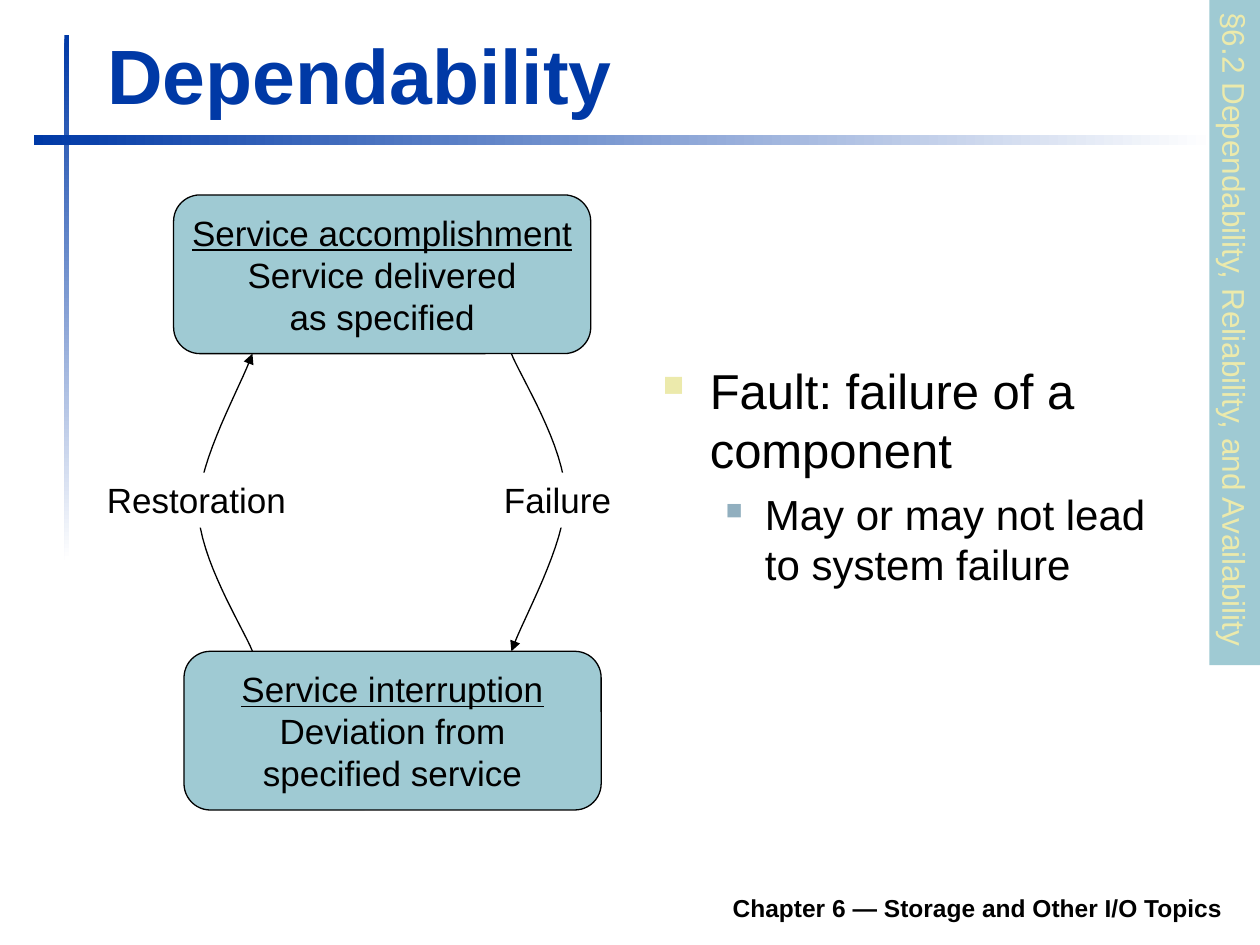
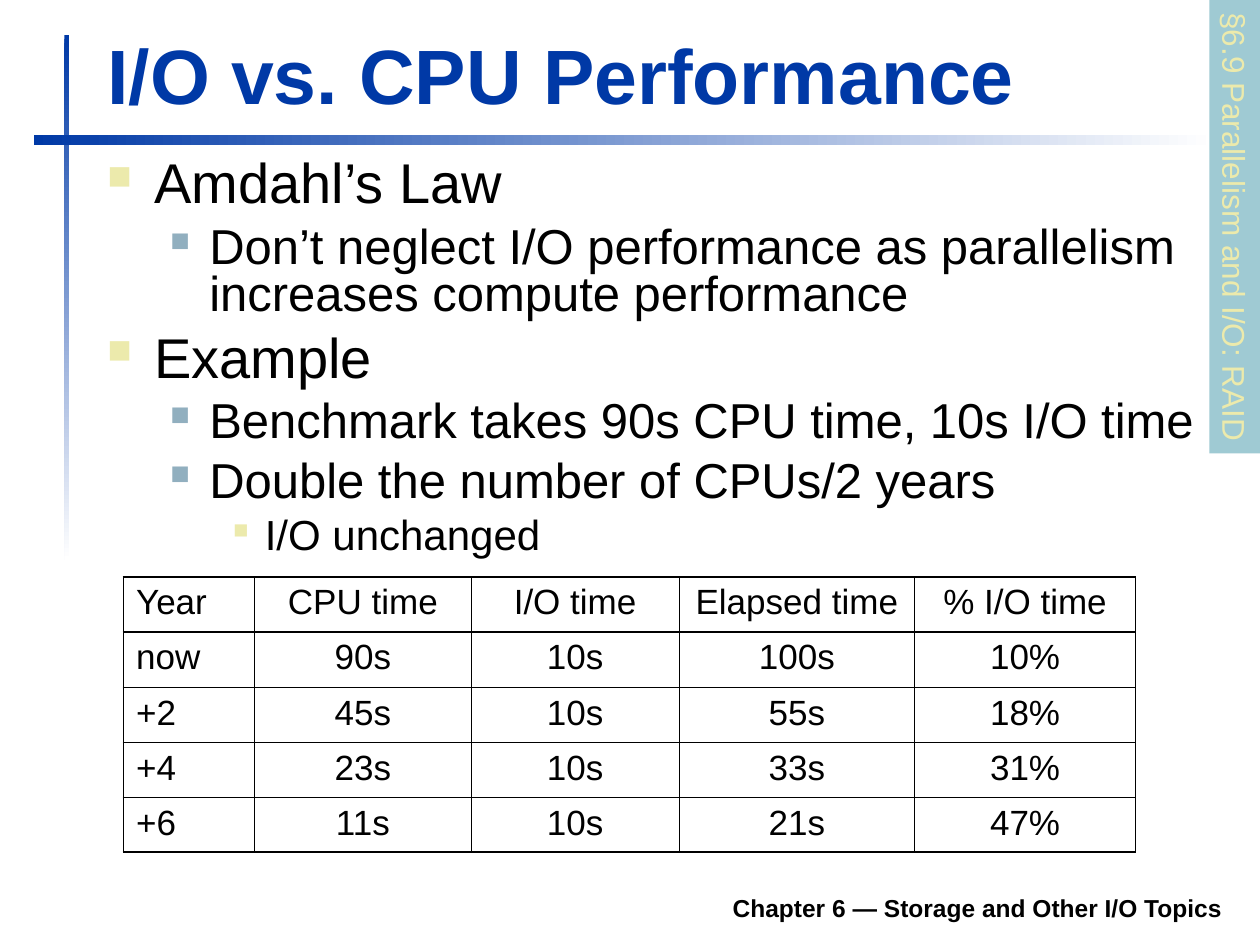
from lxml import etree
from pptx import Presentation
from pptx.dml.color import RGBColor
from pptx.enum.shapes import MSO_SHAPE
from pptx.enum.text import MSO_ANCHOR, MSO_AUTO_SIZE, PP_ALIGN
from pptx.oxml.ns import qn
from pptx.util import Cm, Pt

RECTANGLE = MSO_SHAPE.RECTANGLE
ROUNDED = MSO_SHAPE.ROUNDED_RECTANGLE
LEFT, CENTER, RIGHT = PP_ALIGN.LEFT, PP_ALIGN.CENTER, PP_ALIGN.RIGHT
TOP, MIDDLE, BOTTOM = MSO_ANCHOR.TOP, MSO_ANCHOR.MIDDLE, MSO_ANCHOR.BOTTOM
NO_AUTOFIT = MSO_AUTO_SIZE.NONE

COLORS = {
    "blue": "0039A6",
    "teal": "9FCAD3",
    "cream": "ECEAAC",
    "steel": "91AFBF",
    "black": "000000",
    "white": "FFFFFF",
}
FONT = "Arial"
FOOTER = "Chapter 6 — Storage and Other I/O Topics"


def write(para, text, size, color="black", align=LEFT, bold=False, underline=False):
    para.text = text
    para.alignment = align
    para.font.name = FONT
    para.font.size = Pt(size)
    para.font.bold = bold
    para.font.underline = underline
    para.font.color.rgb = RGBColor.from_string(COLORS[color])


def add_block(page, kind, left, top, width, height, fill, anchor=TOP):
    block = page.shapes.add_shape(kind, Cm(left), Cm(top), Cm(width), Cm(height))
    block.shadow.inherit = False
    block.line.fill.background()
    block.fill.solid()
    block.fill.fore_color.rgb = RGBColor.from_string(COLORS[fill])
    block.text_frame.word_wrap = False
    block.text_frame.vertical_anchor = anchor
    return block


deck = Presentation()
deck.slide_width, deck.slide_height = Cm(25.4), Cm(19.05)
title_only = deck.slide_layouts[5]

bands = [(1.3, 0.71, 0.1, 10.59, 270), (0.69, 2.72, 23.8, 0.2, 0)]
headings = [
    ("Dependability", "§6.2 Dependability, Reliability, and Availability", 13.41),
    ("I/O vs. CPU Performance", "§6.9 Parallelism and I/O: RAID", 9.14),
]
bullet_lists = [
    ((13.11, 7.14, 11, 10.21), 1, [
        (0, "Fault: failure of a component", 28, 7),
        (1, "May or may not lead to system failure", 24, 6),
    ]),
    ((1.91, 3.12, 22.96, 8.41), 0.8, [
        (0, "Amdahl’s Law", 32, 8),
        (1, "Don’t neglect I/O performance as parallelism increases compute performance", 28, 7),
        (0, "Example", 32, 8),
        (1, "Benchmark takes 90s CPU time, 10s I/O time", 28, 7),
        (1, "Double the number of CPUs/2 years", 28, 7),
        (2, "I/O unchanged", 24, 6),
    ]),
]
bullet_levels = [
    (0.95, 0.95, "cream", 60),
    (2.06, 0.79, "steel", 55),
    (3.18, 0.64, "cream", 50),
]

pages = []
for (heading, section, tab_length), (area, spacing, items) in zip(headings, bullet_lists):
    page = deck.slides.add_slide(title_only)
    pages.append(page)

    for left, top, width, height, angle in bands:
        band = add_block(page, RECTANGLE, left, top, width, height, "blue")
        band.fill.gradient()
        band.fill.gradient_angle = angle
        for stop, color in zip(band.fill.gradient_stops, ("blue", "white")):
            stop.color.rgb = RGBColor.from_string(COLORS[color])

    title = page.shapes.title
    title.left, title.top, title.width, title.height = Cm(1.91), Cm(0.41), Cm(22.94), Cm(2.13)
    title.text_frame.word_wrap = True
    title.text_frame.auto_size = NO_AUTOFIT
    title.text_frame.vertical_anchor = BOTTOM
    write(title.text_frame.paragraphs[0], heading, 44, "blue", bold=True)

    body = page.shapes.add_textbox(*map(Cm, area)).text_frame
    body.word_wrap = True
    for index, (level, text, size, space) in enumerate(items):
        para = body.paragraphs[0] if index == 0 else body.add_paragraph()
        margin, hanging, color, percent = bullet_levels[level]
        para.level = level
        properties = para._p.get_or_add_pPr()
        properties.set("marL", str(Cm(margin)))
        properties.set("indent", str(-Cm(hanging)))
        bullet_color = etree.SubElement(properties, qn("a:buClr"))
        etree.SubElement(bullet_color, qn("a:srgbClr"), val=COLORS[color])
        etree.SubElement(properties, qn("a:buSzPct"), val=str(percent * 1000))
        etree.SubElement(properties, qn("a:buChar"), char="■")
        para.line_spacing = spacing
        para.space_before = Pt(space if index else 0)
        write(para, text, size)

    tab = add_block(page, RECTANGLE, 24.89 - tab_length / 2, tab_length / 2 - 0.51,
                    tab_length, 1.02, "teal")
    tab.rotation = 90
    write(tab.text_frame.paragraphs[0], section, 18, "cream")

    footer = page.shapes.add_textbox(Cm(4.7), Cm(17.73), Cm(20.19), Cm(0.99)).text_frame
    footer.word_wrap = True
    footer.vertical_anchor = BOTTOM
    write(footer.paragraphs[0], FOOTER, 14, align=RIGHT, bold=True)

states_page, table_page = pages

states = [
    (3.5, 3.93, "Service accomplishment", "Service delivered\vas specified"),
    (3.71, 13.13, "Service interruption", "Deviation from\vspecified service"),
]
for left, top, name, meaning in states:
    state = add_block(states_page, ROUNDED, left, top, 8.41, 3.2, "teal", MIDDLE)
    state.line.color.rgb = RGBColor.from_string(COLORS["black"])
    state.line.width = Pt(0.75)
    write(state.text_frame.paragraphs[0], name, 20, align=CENTER, underline=True)
    write(state.text_frame.add_paragraph(), meaning, 20, align=CENTER)

failure_curves = [
    ((10.31, 7.13), (10.49, 7.59), (11.4, 9.02), (11.4, 10.01)),
    ((11.4, 10.01), (11.4, 11), (10.54, 12.47), (10.31, 13.13)),
]
STEPS = 16
failure_points = [failure_curves[0][0]]
for curve in failure_curves:
    for step in range(1, STEPS + 1):
        t = step / STEPS
        weights = ((1 - t) ** 3, 3 * t * (1 - t) ** 2, 3 * t ** 2 * (1 - t), t ** 3)
        failure_points.append(tuple(
            sum(weight * point[axis] for weight, point in zip(weights, curve))
            for axis in (0, 1)))
restoration_points = [(15.4 - x, 20.26 - y) for x, y in failure_points]

transitions = [
    ("Failure", failure_points, 9.91, 2.67, LEFT),
    ("Restoration", restoration_points, 1.91, 4.11, RIGHT),
]
for name, points, left, width, align in transitions:
    start, *rest = [(Cm(x), Cm(y)) for x, y in points]
    builder = states_page.shapes.build_freeform(*start)
    builder.add_line_segments(rest, close=False)
    arrow = builder.convert_to_shape()
    arrow.shadow.inherit = False
    arrow.fill.background()
    arrow.line.color.rgb = RGBColor.from_string(COLORS["black"])
    arrow.line.width = Pt(0.75)
    etree.SubElement(arrow.line._get_or_add_ln(), qn("a:tailEnd"), type="triangle")
    label = add_block(states_page, RECTANGLE, left, 9.53, width, 1.11, "white")
    write(label.text_frame.paragraphs[0], name, 20, align=align)

rows = [
    ("Year", "CPU time", "I/O time", "Elapsed time", "% I/O time"),
    ("now", "90s", "10s", "100s", "10%"),
    ("+2", "45s", "10s", "55s", "18%"),
    ("+4", "23s", "10s", "33s", "31%"),
    ("+6", "11s", "10s", "21s", "47%"),
]
column_widths = (2.64, 4.37, 4.19, 4.75, 4.45)
row_edges = column_edges = (1.08, 0.75, 0.45, 0.45, 0.45, 1.08)
table = table_page.shapes.add_table(
    len(rows), len(column_widths), Cm(2.49), Cm(11.63), Cm(20.4), Cm(5.55)).table
table.first_row = table.horz_banding = False
for column, width in zip(table.columns, column_widths):
    column.width = Cm(width)
for r, row in enumerate(rows):
    table.rows[r].height = Cm(1.11)
    for c, text in enumerate(row):
        cell = table.cell(r, c)
        write(cell.text_frame.paragraphs[0], text, 20, align=CENTER if c else LEFT)
        cell_properties = cell._tc.get_or_add_tcPr()
        borders = {"L": column_edges[c], "R": column_edges[c + 1],
                   "T": row_edges[r], "B": row_edges[r + 1]}
        for side, width in borders.items():
            border = etree.SubElement(cell_properties, qn("a:ln" + side), w=str(Pt(width)))
            border_fill = etree.SubElement(border, qn("a:solidFill"))
            etree.SubElement(border_fill, qn("a:srgbClr"), val=COLORS["black"])
        cell.fill.background()

deck.save("out.pptx")
